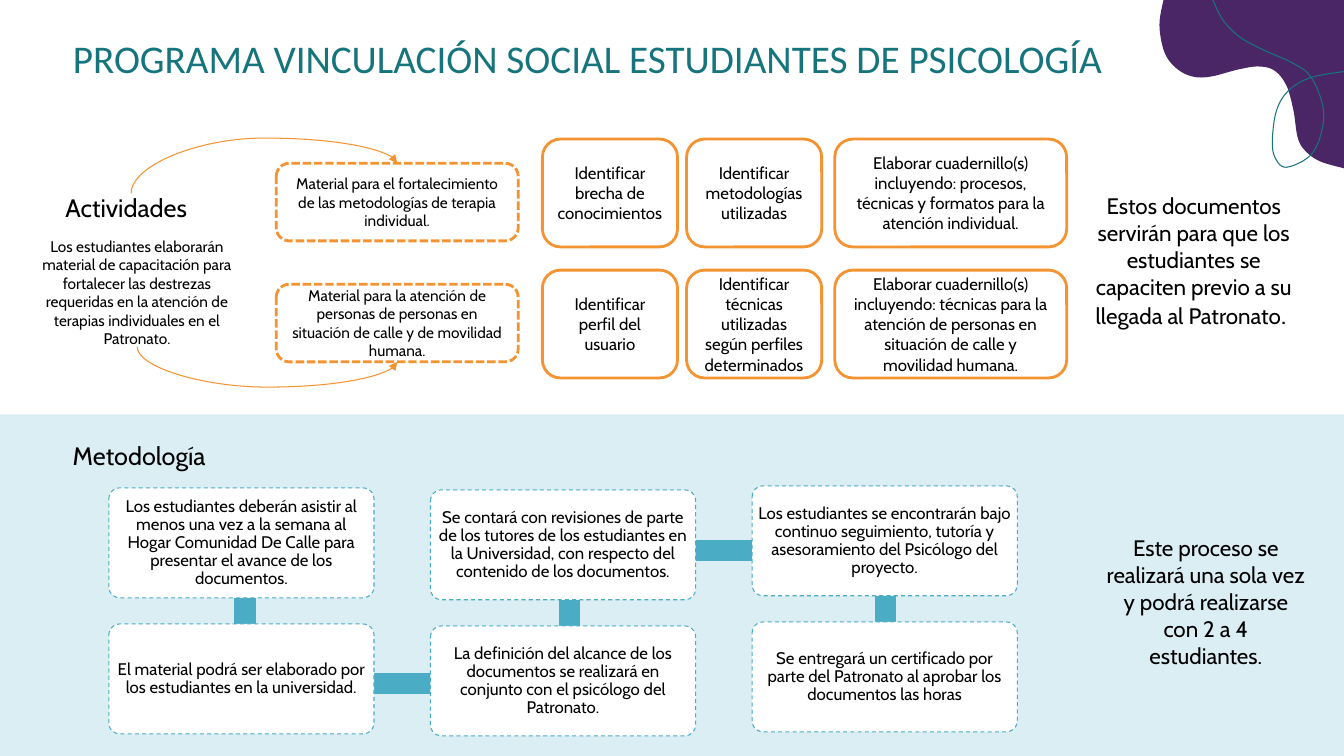
from pptx import Presentation
from pptx.dml.color import RGBColor
from pptx.enum.dml import MSO_LINE
from pptx.enum.shapes import MSO_CONNECTOR, MSO_SHAPE
from pptx.enum.text import MSO_ANCHOR, MSO_AUTO_SIZE, PP_ALIGN
from pptx.oxml.ns import qn
from pptx.util import Inches, Pt
from lxml import etree

PURPLE = RGBColor(0x4B, 0x26, 0x67)
TEAL = RGBColor(0x15, 0x74, 0x7C)
PALE_BLUE = RGBColor(0xDB, 0xEE, 0xF4)
ORANGE = RGBColor(0xF4, 0x93, 0x31)
BLUE = RGBColor(0x4B, 0xAC, 0xC6)
BLACK = RGBColor(0, 0, 0)
WHITE = RGBColor(0xFF, 0xFF, 0xFF)
RECT, ROUNDED = MSO_SHAPE.RECTANGLE, MSO_SHAPE.ROUNDED_RECTANGLE
SHORT_DASH, DASH = MSO_LINE.SQUARE_DOT, MSO_LINE.DASH
LEFT, CENTER = PP_ALIGN.LEFT, PP_ALIGN.CENTER

TITLE = "PROGRAMA VINCULACIÓN SOCIAL ESTUDIANTES DE PSICOLOGÍA"

# left, top, width, height, size, alignment, runs
LABELS = [
    (0.55, 1.92, 1.5, 0.28, 18, LEFT, ["Actividades"]),
    (0.27, 4.38, 2.22, 0.28, 18, CENTER, ["Metodología"]),
    (0.28, 2.36, 2.16, 1.08, 11, CENTER, [
        "Los estudiantes elaborarán material de capacitación para fortalecer las destrezas "
        "requeridas en la atención de terapias individuales en el Patronato."]),
    (10.75, 1.68, 2.18, 1.82, 16, CENTER, [
        "Estos documentos servirán para que los estudiantes se capaciten previo a su "
        "llegada al Patronato", ". "]),
    (10.87, 5.06, 2.18, 1.82, 16, CENTER, [
        "Este proceso se realizará una sola vez y podrá realizarse con 2 a 4 estudiantes."]),
]
FINAL_STOP_SIZE = 18

MATERIALS = [
    "Material para el fortalecimiento de las metodologías de terapia individual.",
    "Material para la atención de personas de personas en situación de calle y de "
    "movilidad humana.",
]
MATERIAL_LEFT, MATERIAL_TOP, MATERIAL_PITCH = 2.74, 1.62, 1.2
MATERIAL_WIDTH, MATERIAL_HEIGHT = 2.4, 0.77

# left, width, text of each row
ACTIVITY_COLUMNS = [
    (5.38, 1.34, ["Identificar brecha de conocimientos", "Identificar perfil del usuario"]),
    (6.81, 1.34, ["Identificar metodologías utilizadas",
                  "Identificar técnicas utilizadas según perfiles determinados"]),
    (8.28, 2.3, [
        "Elaborar cuadernillo(s) incluyendo: procesos, técnicas y formatos para la "
        "atención individual.",
        "Elaborar cuadernillo(s) incluyendo: técnicas para la atención de personas en "
        "situación de calle y movilidad humana."]),
]
ACTIVITY_TOP, ACTIVITY_PITCH, ACTIVITY_HEIGHT = 1.38, 1.3, 1.07

# top, centre of the vertical link, text of each row
METHOD_COLUMNS = [
    (4.84, 2.43, [
        "Los estudiantes deberán asistir al menos una vez a la semana al Hogar Comunidad "
        "De Calle para presentar el avance de los documentos.",
        "El material podrá ser elaborado por los estudiantes en la universidad."]),
    (4.86, 5.65, [
        "Se contará con revisiones de parte de los tutores de los estudiantes en la "
        "Universidad, con respecto del contenido de los documentos.",
        "La definición del alcance de los documentos se realizará en conjunto con el "
        "psicólogo del Patronato."]),
    (4.82, 8.78, [
        "Los estudiantes se encontrarán bajo continuo seguimiento, tutoría y "
        "asesoramiento del Psicólogo del proyecto.",
        "Se entregará un certificado por parte del Patronato al aprobar los documentos "
        "las horas"]),
]
METHOD_LEFT, METHOD_STEP, METHOD_PITCH = 1.08, 3.19, 1.35
METHOD_WIDTH, METHOD_HEIGHT = 2.63, 1.09
LINK_THICKNESS = 0.2
ROW_LINKS = [(1.32, 6.68, 4), (4.75, 5.36, 4)]  # left, top, width

# start, end, rotation
ARROWS = [((1.3, 1.92), (3.94, 1.62), 90), ((1.36, 3.44), (3.94, 3.59), 270)]
ARROW_BULGE = 0.25

BLOB_EDGE = [(11.54, 0), (11.5, 0.25), (11.55, 0.52), (11.67, 0.68), (11.83, 0.76),
             (12.01, 0.76), (12.28, 0.69), (12.48, 0.66), (12.64, 0.7), (12.76, 0.85),
             (12.83, 1.1), (12.87, 1.36), (12.94, 1.49), (13.09, 1.6), (13.33, 1.67)]
BLOB_CORNER = (13.33, 0)
RIBBON = [(12.03, 0), (12.13, 0.2), (12.3, 0.37), (12.54, 0.5), (12.81, 0.62), (13, 0.76),
          (13.12, 1.05), (13.11, 1.3), (13, 1.54), (12.76, 1.66), (12.65, 1.57),
          (12.62, 1.4), (12.66, 1.1), (12.78, 0.9), (13, 0.77), (13.33, 0.71)]

prs = Presentation()
prs.slide_width, prs.slide_height = Inches(13.33), Inches(7.5)
slide = prs.slides.add_slide(prs.slide_layouts[5])
shapes = slide.shapes


def set_text(shape, runs, size, color=BLACK, font="Cabin", align=CENTER, inset=None, spacing=None):
    frame = shape.text_frame
    frame_format = {"word_wrap": True, "auto_size": MSO_AUTO_SIZE.NONE,
                    "vertical_anchor": MSO_ANCHOR.MIDDLE}
    if inset is not None:
        frame_format.update({f"margin_{side}": Inches(inset)
                             for side in ("left", "right", "top", "bottom")})
    for key, value in frame_format.items():
        setattr(frame, key, value)
    paragraph = frame.paragraphs[0]
    paragraph.alignment = align
    paragraph.line_spacing = spacing
    for text in runs:
        run = paragraph.add_run()
        run.text = text
        for key, value in {"name": font, "size": Pt(size)}.items():
            setattr(run.font, key, value)
        run.font.color.rgb = color


def paint(shape, fill=None, line=None, weight=0.75, dash=None):
    shape.shadow.inherit = False
    if fill is None:
        shape.fill.background()
    else:
        shape.fill.solid()
        shape.fill.fore_color.rgb = fill
    if line is None:
        shape.line.fill.background()
    else:
        shape.line.color.rgb = line
        shape.line.width = Pt(weight)
        if dash:
            shape.line.dash_style = dash


def add_box(kind, left, top, width, height, **look):
    box = shapes.add_shape(kind, *map(Inches, (left, top, width, height)))
    paint(box, **look)
    return box


def smooth(points, steps=6):
    """Catmull-Rom curve through the points."""
    padded = [points[0], *points, points[-1]]
    curve = [points[0]]
    for a, b, c, d in zip(padded, padded[1:], padded[2:], padded[3:]):
        for step in range(1, steps + 1):
            t = step / steps
            curve.append(tuple(
                0.5 * (2 * q + (r - p) * t + (2 * p - 5 * q + 4 * r - s) * t ** 2
                       + (3 * q - p - 3 * r + s) * t ** 3)
                for p, q, r, s in zip(a, b, c, d)))
    return curve


def add_outline(points, close, **look):
    start, *rest = [(Inches(x), Inches(y)) for x, y in points]
    builder = shapes.build_freeform(*start)
    builder.add_line_segments(rest, close=close)
    paint(builder.convert_to_shape(), **look)


def add_curved_arrow(start, end, rotation):
    (x1, y1), (x2, y2) = start, end
    width, height = abs(y2 - y1), x2 - x1
    cx, cy = (x1 + x2) / 2, (y1 + y2) / 2
    half = height / 2 if rotation == 90 else -height / 2
    arrow = shapes.add_connector(MSO_CONNECTOR.CURVE, *map(Inches, (
        cx + width / 2, cy + half, cx - width / 2, cy - half)))
    arrow.line.color.rgb = ORANGE
    arrow.line.width = Pt(0.75)
    properties = arrow._element.spPr
    properties.find(qn("a:xfrm")).set("rot", str(rotation * 60000))
    guides = properties.find(qn("a:prstGeom")).find(qn("a:avLst"))
    bulge = round((1 + ARROW_BULGE / width) * 100000)
    etree.SubElement(guides, qn("a:gd"), name="adj1", fmla=f"val {bulge}")
    etree.SubElement(properties.find(qn("a:ln")), qn("a:tailEnd"), type="triangle")
    etree.SubElement(properties, qn("a:effectLst"))


add_outline(smooth(BLOB_EDGE) + [BLOB_CORNER], True, fill=PURPLE)
add_outline(smooth(RIBBON), False, line=TEAL)
add_box(RECT, 0, 4.11, 13.33, 3.39, fill=PALE_BLUE)

title = shapes.title
for key, value in {"left": 0, "top": 0.31, "width": 11.65, "height": 0.53}.items():
    setattr(title, key, Inches(value))
set_text(title, [TITLE], 28, TEAL, "Calibri")

for left, top, width, height, size, align, runs in LABELS:
    label = shapes.add_textbox(*map(Inches, (left, top, width, height)))
    set_text(label, runs, size, align=align)
    for stop in label.text_frame.paragraphs[0].runs[1:]:
        stop.font.size = Pt(FINAL_STOP_SIZE)

for row, text in enumerate(MATERIALS):
    material = add_box(ROUNDED, MATERIAL_LEFT, MATERIAL_TOP + row * MATERIAL_PITCH,
                       MATERIAL_WIDTH, MATERIAL_HEIGHT, line=ORANGE, weight=2, dash=SHORT_DASH)
    set_text(material, [text], 11)

for left, width, texts in ACTIVITY_COLUMNS:
    for row, text in enumerate(texts):
        activity = add_box(ROUNDED, left, ACTIVITY_TOP + row * ACTIVITY_PITCH, width,
                           ACTIVITY_HEIGHT, fill=WHITE, line=ORANGE, weight=2)
        set_text(activity, [text], 12)

for arrow_ends in ARROWS:
    add_curved_arrow(*arrow_ends)

for left, top, width in ROW_LINKS:
    add_box(RECT, left, top, width, LINK_THICKNESS, fill=BLUE, line=BLUE)
for column, (top, link_center, texts) in enumerate(METHOD_COLUMNS):
    add_box(RECT, link_center - LINK_THICKNESS / 2, top + METHOD_HEIGHT / 2, LINK_THICKNESS,
            METHOD_PITCH, fill=BLUE, line=BLUE)
    for row, text in enumerate(texts):
        step_card = add_box(ROUNDED, METHOD_LEFT + column * METHOD_STEP, top + row * METHOD_PITCH,
                            METHOD_WIDTH, METHOD_HEIGHT, fill=WHITE, line=BLUE, dash=DASH)
        step_card.adjustments[0] = 0.1
        set_text(step_card, [text], 12, inset=0.02, spacing=0.9)

prs.save("out.pptx")
